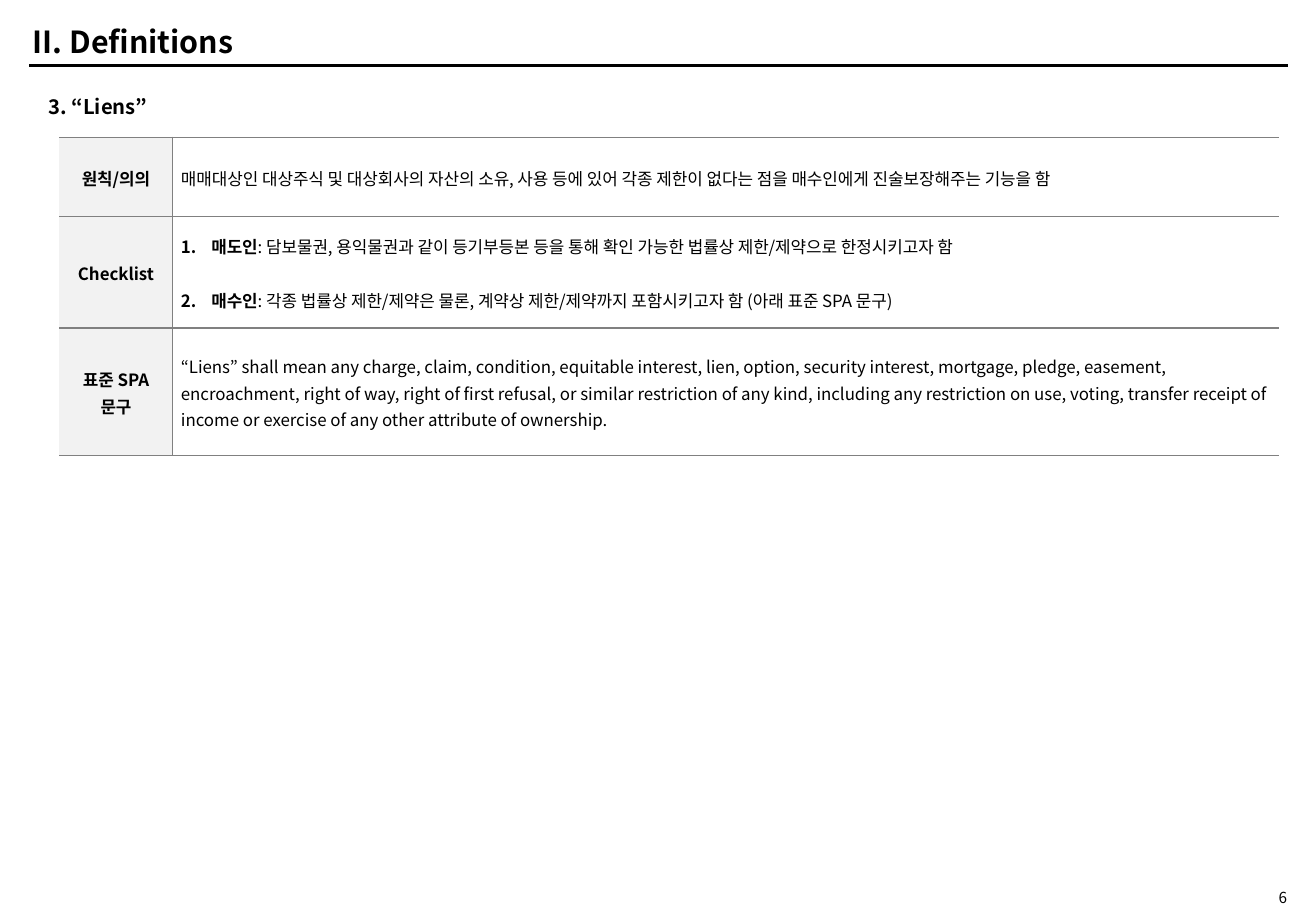
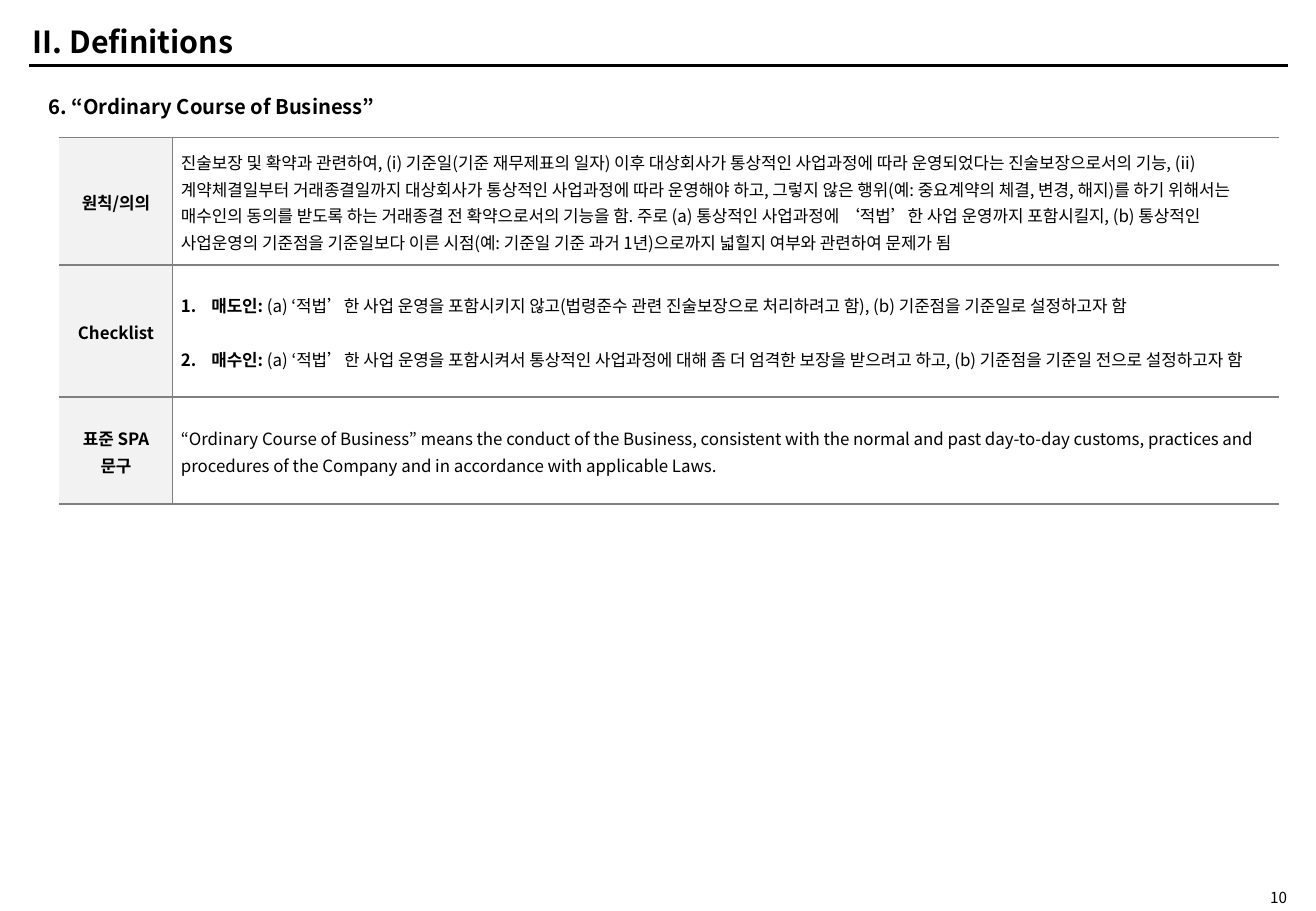
from copy import deepcopy
from dataclasses import dataclass

from lxml.etree import SubElement
from pptx import Presentation
from pptx.dml.color import RGBColor
from pptx.enum.shapes import MSO_CONNECTOR as Connector
from pptx.enum.text import MSO_ANCHOR as Anchor, MSO_AUTO_SIZE as AutoSize, PP_ALIGN as Align
from pptx.oxml.ns import qn
from pptx.util import Inches, Pt


@dataclass(frozen=True)
class Theme:
    font: str = "Noto Sans CJK KR"
    ink: str = "000000"
    border: str = "808080"
    label_fill: str = "F2F2F2"
    title: int = 18
    subtitle: int = 12
    body: int = 10
    number: int = 9
    rule: int = 2
    border_width: int = 1
    line_spacing: float = 1.1
    plain_table: str = "{2D5ABB26-0587-4C30-8999-92F81FD0307C}"


theme = Theme()
SECTION = "II. Definitions"
LABELS = ["원칙/의의", "Checklist", "표준 SPA\n문구"]

# Row heights are shares of the slide height; a list of pairs is a numbered list
PAGES = [
    {
        "number": "6",
        "subtitle": "3. “Liens”",
        "rows": [8.67, 12.27, 14],
        "texts": [
            "매매대상인 대상주식 및 대상회사의 자산의 소유, 사용 등에 있어 각종 제한이 없다는 점을 "
            "매수인에게 진술보장해주는 기능을 함",
            [("매도인", ": 담보물권, 용익물권과 같이 등기부등본 등을 통해 확인 가능한 법률상 "
                     "제한/제약으로 한정시키고자 함"),
             ("매수인", ": 각종 법률상 제한/제약은 물론, 계약상 제한/제약까지 포함시키고자 함 "
                     "(아래 표준 SPA 문구)")],
            "“Liens” shall mean any charge, claim, condition, equitable interest, lien, option, "
            "security interest, mortgage, pledge, easement, encroachment, right of way, right of "
            "first refusal, or similar restriction of any kind, including any restriction on use, "
            "voting, transfer receipt of income or exercise of any other attribute of ownership.",
        ],
    },
    {
        "number": "10",
        "subtitle": "6. “Ordinary Course of Business”",
        "rows": [14, 14.53, 11.73],
        "texts": [
            "진술보장 및 확약과 관련하여, (i) 기준일(기준 재무제표의 일자) 이후 대상회사가 통상적인 "
            "사업과정에 따라 운영되었다는 진술보장으로서의 기능, (ii) 계약체결일부터 거래종결일까지 "
            "대상회사가 통상적인 사업과정에 따라 운영해야 하고, 그렇지 않은 행위(예: 중요계약의 체결, "
            "변경, 해지)를 하기 위해서는 매수인의 동의를 받도록 하는 거래종결 전 확약으로서의 기능을 함. "
            "주로 (a) 통상적인 사업과정에 ‘적법’한 사업 운영까지 포함시킬지, (b) 통상적인 사업운영의 "
            "기준점을 기준일보다 이른 시점(예: 기준일 기준 과거 1년)으로까지 넓힐지 여부와 관련하여 "
            "문제가 됨",
            [("매도인:", " (a) ‘적법’한 사업 운영을 포함시키지 않고(법령준수 관련 진술보장으로 "
                      "처리하려고 함), (b) 기준점을 기준일로 설정하고자 함"),
             ("매수인: ", "(a) ‘적법’한 사업 운영을 포함시켜서 통상적인 사업과정에 대해 좀 더 엄격한 "
                       "보장을 받으려고 하고, (b) 기준점을 기준일 전으로 설정하고자 함")],
            "“Ordinary Course of Business” means the conduct of the Business, consistent with the "
            "normal and past day-to-day customs, practices and procedures of the Company and in "
            "accordance with applicable Laws.",
        ],
    },
]

deck = Presentation()
deck.slide_width, deck.slide_height = Inches(10.83), Inches(7.5)


def area(*shares):
    """Turn shares of the slide (x, y, x, y in percent) into lengths."""
    sizes = (deck.slide_width, deck.slide_height) * 2
    return [round(size * share / 100) for size, share in zip(sizes, shares)]


def write(para, text, size, bold=False):
    """Add text in the theme font; a newline becomes a line break."""
    for index, piece in enumerate(text.split("\n")):
        if index:
            para.add_line_break()
        span = para.add_run()
        span.text = piece
        for name, value in {"name": theme.font, "size": Pt(size), "bold": bold}.items():
            setattr(span.font, name, value)
        span.font.color.rgb = RGBColor.from_string(theme.ink)
        properties = span.font._element if hasattr(span.font, "_element") else span._r.get_or_add_rPr()
        SubElement(properties, qn("a:ea"), typeface=theme.font)
    for line_break in para._p.findall(qn("a:br")):
        line_break.append(deepcopy(properties))


# Shared placeholder places, set once on the layout
layout = deck.slide_layouts[1]
PLACES = {0: area(1.57, 2, 47.18, 5.07), 1: area(2.77, 9.73, 37.49, 4)}
for index, place in PLACES.items():
    holder = next(item for item in layout.placeholders if item.placeholder_format.idx == index)
    holder.left, holder.top, holder.width, holder.height = place

for content in PAGES:
    page = deck.slides.add_slide(layout)

    # Rule under the title
    rule = page.shapes.add_connector(Connector.STRAIGHT, *area(2.22, 7.2, 97.88, 7.2))
    rule.line.width = Pt(theme.rule)
    rule.line.color.rgb = RGBColor.from_string(theme.ink)
    SubElement(rule._element.spPr, qn("a:effectLst"))

    # Title, subtitle and page number
    number = page.shapes.add_textbox(*area(90.03, 97.47, 8.68, 2))
    number.text_frame.margin_top = number.text_frame.margin_bottom = 0
    headings = [
        (page.shapes.title, SECTION, theme.title, True, Align.LEFT, Anchor.MIDDLE),
        (page.placeholders[1], content["subtitle"], theme.subtitle, True, Align.LEFT, Anchor.TOP),
        (number, content["number"], theme.number, False, Align.RIGHT, Anchor.MIDDLE),
    ]
    for box, text, size, bold, align, anchor in headings:
        frame = box.text_frame
        for name, value in {"word_wrap": True, "auto_size": AutoSize.NONE,
                            "vertical_anchor": anchor}.items():
            setattr(frame, name, value)
        para = frame.paragraphs[0]
        para.alignment, para.space_before = align, Pt(0)
        settings = para._p.get_or_add_pPr()
        settings.set("marL", "0")
        settings.set("indent", "0")
        SubElement(settings, qn("a:buNone"))
        write(para, text, size, bold)

    # Table of label and explanation
    heights = content["rows"]
    grid = page.shapes.add_table(len(heights), 2, *area(4.52, 15.07, 92.71, sum(heights)))
    table = grid.table
    table.first_row = table.horz_banding = False
    grid._element.find(".//" + qn("a:tableStyleId")).text = theme.plain_table
    for column, share in zip(table.columns, (8.59, 84.12)):
        column.width = area(share)[0]

    for row, height, label, text in zip(table.rows, heights, LABELS, content["texts"]):
        row.height = area(0, height)[1]
        for cell, sides in zip(row.cells, (("lnR", "lnT", "lnB"), ("lnL", "lnT", "lnB"))):
            for name, value in {"vertical_anchor": Anchor.MIDDLE, "margin_top": 0,
                                "margin_bottom": 0, "margin_left": Inches(0.07),
                                "margin_right": Inches(0.07)}.items():
                setattr(cell, name, value)
            for side in sides:
                edge = SubElement(cell._tc.get_or_add_tcPr(), qn("a:" + side),
                                  w=str(Pt(theme.border_width)))
                paint = SubElement(edge, qn("a:solidFill"))
                SubElement(paint, qn("a:srgbClr"), val=theme.border)

        name_cell, text_cell = row.cells
        name_cell.fill.solid()
        name_cell.fill.fore_color.rgb = RGBColor.from_string(theme.label_fill)
        text_cell.fill.background()

        para = name_cell.text_frame.paragraphs[0]
        para.alignment, para.line_spacing = Align.CENTER, theme.line_spacing
        write(para, label, theme.body, True)

        numbered = isinstance(text, list)
        for index, (lead, rest) in enumerate(text if numbered else [("", text)]):
            frame = text_cell.text_frame
            para = frame.add_paragraph() if index else frame.paragraphs[0]
            para.line_spacing = theme.line_spacing
            if index:
                para.space_before = Pt(16)
            if numbered:
                settings = para._p.get_or_add_pPr()
                settings.set("marL", str(Inches(0.25)))
                settings.set("indent", str(Inches(-0.25)))
                SubElement(settings, qn("a:buFont"), typeface=theme.font)
                SubElement(settings, qn("a:buAutoNum"), type="arabicPeriod")
                write(para, lead, theme.body, True)
            write(para, rest, theme.body)

deck.save("out.pptx")
